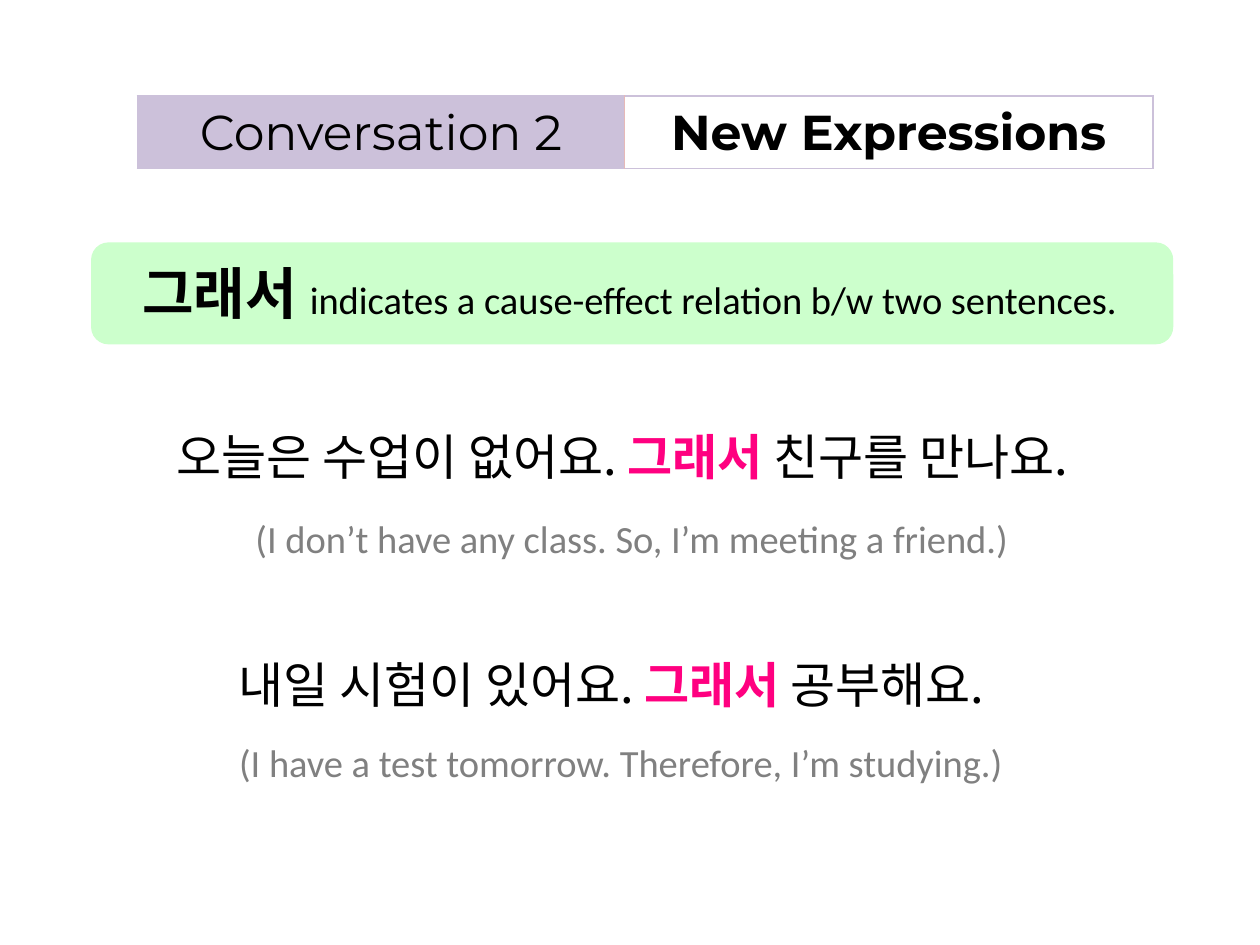
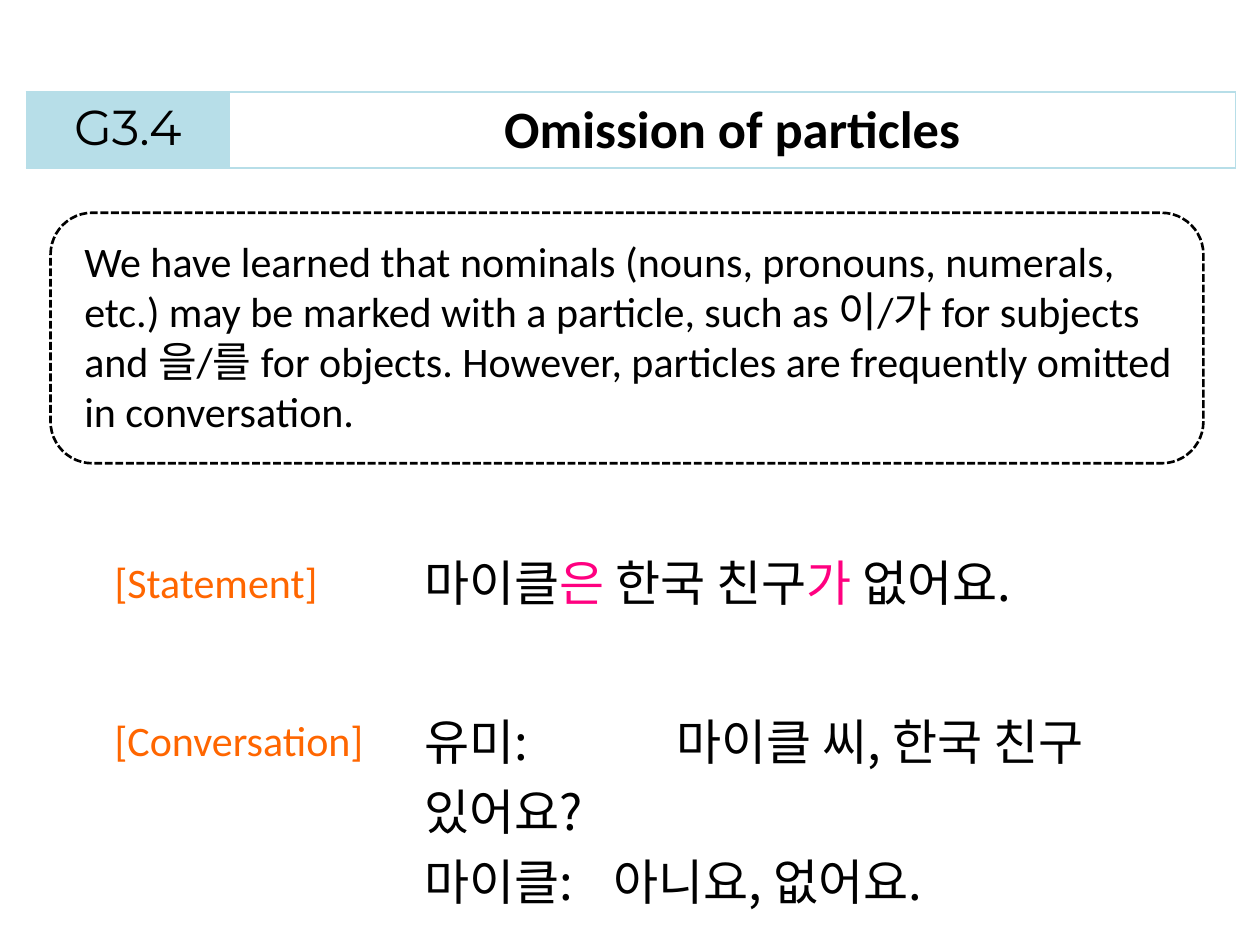
from dataclasses import dataclass
from typing import NamedTuple, Optional

from lxml.etree import SubElement
from pptx import Presentation
from pptx.dml.color import RGBColor as RGB
from pptx.enum.dml import MSO_LINE
from pptx.enum.shapes import MSO_SHAPE
from pptx.enum.text import MSO_AUTO_SIZE as AUTO, PP_ALIGN as ALIGN
from pptx.oxml.ns import qn
from pptx.util import Cm, Pt


@dataclass(frozen=True)
class Theme:
    black: str = "000000"
    gray: str = "808080"
    pink: str = "FF0080"
    orange: str = "FF6600"
    lilac: str = "CCC1DA"
    rose: str = "E6B9B8"
    sky: str = "B7DEE8"
    mint: str = "CCFFCC"
    latin: str = "Calibri"
    display: str = "Montserrat"
    korean: str = "Noto Sans CJK KR"
    keyword: float = 32
    title: float = 30
    example: float = 28
    body: float = 24
    gloss: float = 22


T = Theme()


class Run(NamedTuple):
    text: str
    size: float = T.example
    font: str = T.korean
    color: str = T.black
    bold: bool = False


class Box(NamedTuple):
    left: float
    top: float
    width: float
    height: float

    def cm(self) -> list:
        return [Cm(v) for v in self]


@dataclass(frozen=True)
class Text:
    box: Box
    paragraphs: list[list[Run]]
    leading: Optional[float] = None
    wrap: bool = False
    tabs: tuple = ()


@dataclass(frozen=True)
class Heading:
    box: Box
    label: Run
    title: Run
    label_width: float
    color: str
    divider: str


def fill_paragraph(p, runs: list[Run]) -> None:
    for run in runs:
        r = p.add_run()
        r.text = run.text
        r.font.size, r.font.name, r.font.bold = Pt(run.size), run.font, run.bold
        r.font.color.rgb = RGB.from_string(run.color)
        ea = SubElement(r.font._element, qn("a:ea"))
        ea.set("typeface", T.korean)


def set_tabs(p, stops: tuple) -> None:
    tab_list = SubElement(p._p.get_or_add_pPr(), qn("a:tabLst"))
    for stop in stops:
        tab = SubElement(tab_list, qn("a:tab"))
        tab.set("pos", str(Cm(stop)))
        tab.set("algn", "l")


def add_text(slide, text: Text) -> None:
    tf = slide.shapes.add_textbox(*text.box.cm()).text_frame
    tf.word_wrap = text.wrap
    tf.auto_size = AUTO.SHAPE_TO_FIT_TEXT
    for i, runs in enumerate(text.paragraphs):
        p = tf.add_paragraph() if i else tf.paragraphs[0]
        if text.leading:
            p.line_spacing = Pt(text.leading)
        if text.tabs:
            set_tabs(p, text.tabs)
        fill_paragraph(p, runs)


def set_borders(cell, left: str, top: str, right: str, bottom: str) -> None:
    tc_pr = cell._tc.get_or_add_tcPr()
    sides = zip(("lnL", "lnR", "lnT", "lnB"), (left, right, top, bottom))
    for i, (side, color) in enumerate(sides):
        ln = tc_pr.makeelement(qn(f"a:{side}"), {"w": str(Pt(1))})
        fill = SubElement(ln, qn("a:solidFill"))
        SubElement(fill, qn("a:srgbClr")).set("val", color)
        tc_pr.insert(i, ln)


def add_heading(slide, head: Heading) -> None:
    table = slide.shapes.add_table(1, 2, *head.box.cm()).table
    table.first_row = table.horz_banding = False
    table.columns[0].width = Cm(head.label_width)
    table.columns[1].width = Cm(head.box.width - head.label_width)
    label, title = table.cell(0, 0), table.cell(0, 1)
    label.fill.solid()
    label.fill.fore_color.rgb = RGB.from_string(head.color)
    title.fill.background()
    for cell, run in ((label, head.label), (title, head.title)):
        p = cell.text_frame.paragraphs[0]
        p.alignment = ALIGN.CENTER
        fill_paragraph(p, [run])
    c = head.color
    set_borders(label, c, c, head.divider, c)
    set_borders(title, head.divider, c, c, c)


def add_panel(slide, box: Box, line: str, weight: float,
              fill: Optional[str] = None, dash=None) -> None:
    sp = slide.shapes.add_shape(MSO_SHAPE.ROUNDED_RECTANGLE, *box.cm())
    sp.shadow.inherit = False
    if fill:
        sp.fill.solid()
        sp.fill.fore_color.rgb = RGB.from_string(fill)
    else:
        sp.fill.background()
    sp.line.color.rgb = RGB.from_string(line)
    sp.line.width = Pt(weight)
    if dash:
        sp.line.dash_style = dash


def latin(text: str, size: float, color: str = T.black) -> Run:
    return Run(text, size, T.latin, color)


def build_expressions(slide) -> None:
    add_heading(slide, Heading(
        Box(2.77, 1.94, 20.47, 1.45),
        Run("Conversation 2", font=T.display),
        Run("New Expressions", font=T.display, bold=True),
        9.82, T.lilac, T.rose))

    # Definition of the keyword
    add_panel(slide, Box(1.85, 4.9, 21.79, 2.03), T.mint, 0.75, fill=T.mint)
    add_text(slide, Text(Box(2.62, 5.11, 20.6, 1.63), [[
        Run("그래서 ", T.keyword, bold=True),
        latin("indicates a cause-effect relation b/w two sentences.", T.gloss),
    ]], leading=37.6))

    # Example sentences
    linker = Run("그래서", color=T.pink, bold=True)
    for box, cause, effect in (
        (Box(3.3, 8.48, 19.38, 1.45), "오늘은 수업이 없어요. ", " 친구를 만나요."),
        (Box(4.55, 13.08, 16.31, 1.45), "내일 시험이 있어요. ", " 공부해요."),
    ):
        add_text(slide, Text(box, [[Run(cause), linker, Run(effect)]], leading=33.6))

    # Translations
    for box, gloss in (
        (Box(4.9, 10.26, 15.93, 1.19),
         "(I don’t have any class. So, I’m meeting a friend.)"),
        (Box(4.57, 14.78, 16.28, 1.19),
         "(I have a test tomorrow. Therefore, I’m studying.)"),
    ):
        add_text(slide, Text(box, [[latin(gloss, T.gloss, T.gray)]]))


def build_particles(slide) -> None:
    add_heading(slide, Heading(
        Box(0.53, 1.85, 24.38, 1.54),
        Run("G3.4", font=T.display),
        Run("Omission of particles", T.title, T.latin, bold=True),
        4.09, T.sky, T.sky))

    # Explanation
    add_panel(slide, Box(1.02, 4.29, 23.24, 5.05), T.black, 1.5,
              dash=MSO_LINE.SQUARE_DOT)
    add_text(slide, Text(Box(1.45, 4.62, 22.81, 4.37), [[latin(
        "We have learned that nominals (nouns, pronouns, numerals, etc.) may be "
        "marked with a particle, such as 이/가 for subjects and 을/를 for objects. "
        "However, particles are frequently omitted in conversation.", T.body,
    )]], leading=28.6, wrap=True))

    # Labels
    for top, width, label in ((11.1, 4.67, "[Statement]"),
                              (14.27, 5.61, "[Conversation]")):
        add_text(slide, Text(Box(2.06, top, width, 1.27),
                             [[latin(label, T.body, T.orange)]]))

    # Examples
    add_text(slide, Text(Box(8.31, 11.02, 13.59, 1.45), [[
        Run("마이클"), Run("은 ", color=T.pink), Run("한국 친구"),
        Run("가", color=T.pink), Run(" 없어요."),
    ]], leading=33.6))
    add_text(slide, Text(Box(8.31, 14, 16, 4.6), [
        [Run("유미: \t\t마이클 씨, 한국 친구 있어요?")],
        [Run("마이클: \t아니요, 없어요.")],
    ], leading=40, wrap=True, tabs=(3.81, 5.08)))


def main() -> None:
    prs = Presentation()
    prs.slide_width, prs.slide_height = Cm(25.4), Cm(19.05)
    blank = prs.slide_layouts[6]
    for build in (build_expressions, build_particles):
        build(prs.slides.add_slide(blank))
    prs.save("out.pptx")


if __name__ == "__main__":
    main()
